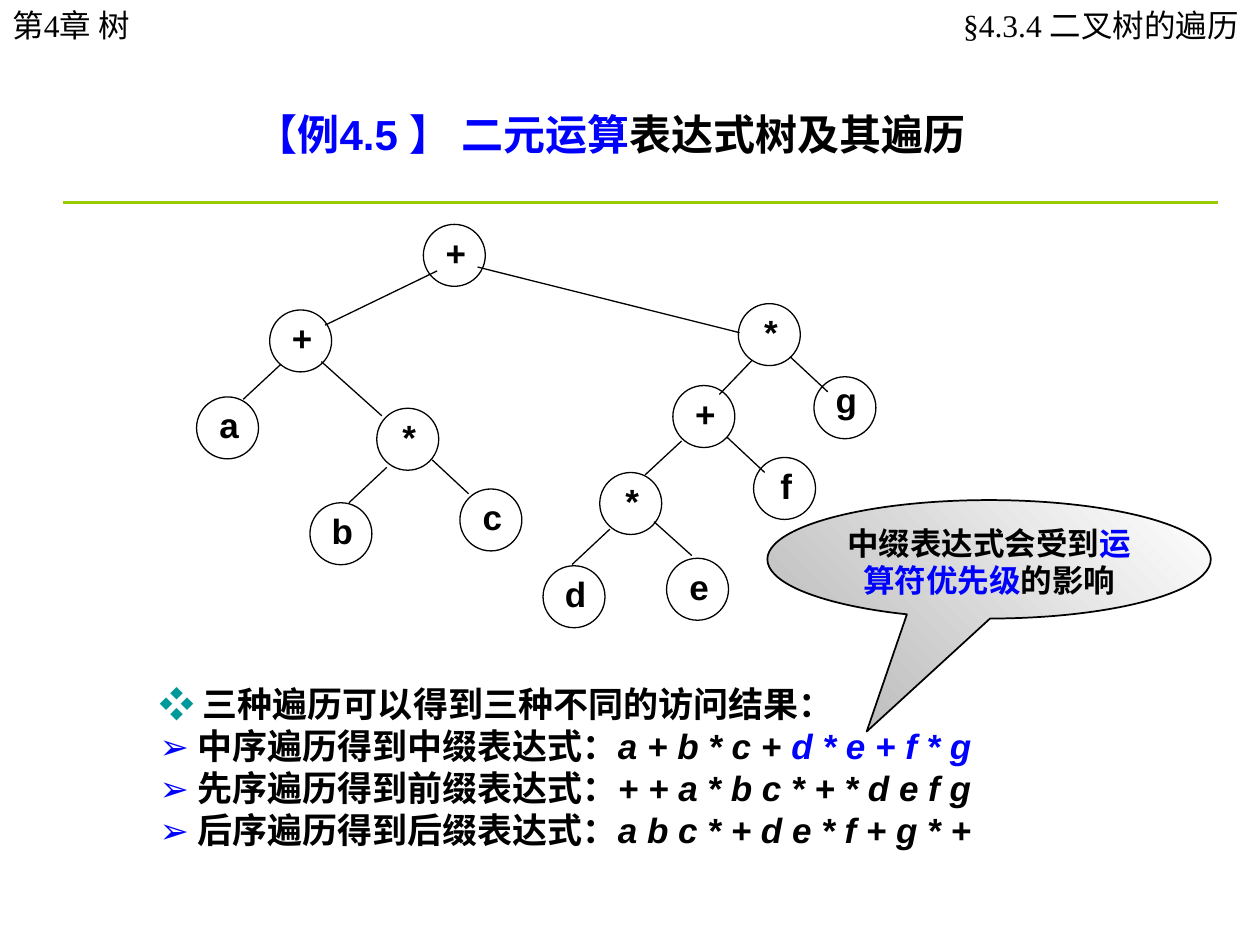
from pptx import Presentation, util as u
from pptx.dml import color as col
from pptx.enum import shapes as sh, text as tx
from pptx.oxml import ns, xmlchemy as xml

Pt = u.Pt
HUES = {
    "black": "000000", "white": "FFFFFF", "blue": "0000FF",
    "teal": "009999", "lime": "99CC00", "gray": "C0C0C0",
}
SIZE = 35.4

NODES = [
    ("+", 241.9, 128.2), ("+", 154.1, 177.1), ("a", 112.3, 226.8),
    ("*", 215.3, 233.3), ("b", 177.1, 287.3), ("c", 262.8, 279.4),
    ("*", 421.9, 173.5), ("+", 384.5, 220.3), ("*", 342.7, 270),
    ("e", 380.9, 319), ("f", 430.6, 261.4), ("d", 310.3, 323.3),
    ("g", 465.1, 215.3),
]
EDGES = [
    (249.8, 154.8, 185.8, 185.8), (183.6, 206.6, 218.2, 237.6),
    (272.9, 152.6, 422.6, 190.1), (429.8, 205.9, 411.1, 225.4),
    (389.5, 252, 368.6, 271.4), (221, 267.1, 199.4, 287.3),
    (247, 262.8, 267.8, 282.2), (348.5, 302.4, 326.9, 322.6),
    (373.7, 298.1, 395.3, 317.5), (415.4, 249.8, 437, 270),
    (451.4, 203.8, 473, 223.9), (160.6, 208.1, 139, 228.2),
]
ORDERS = [
    ("中序遍历得到中缀表达式：", "a + b * c + ", "d * e + f * g"),
    ("先序遍历得到前缀表达式：", "+ + a * b c * + * d e f g", ""),
    ("后序遍历得到后缀表达式：", "a b c * + d e * f + g * +", ""),
]


def hue(name):
    return col.RGBColor.from_string(HUES[name])


def write(para, runs, size, face="Arial", bold=True, align=None):
    para.font.size = Pt(size)
    para.font.name = face
    para.font.bold = bold
    para.alignment = align
    for words, tint, *slant in runs:
        run = para.add_run()
        run.text = words
        run.font.color.rgb = hue(tint)
        if slant:
            run.font.italic = True


def add_text(slide, box, lines, size, **style):
    frame = slide.shapes.add_textbox(*map(Pt, box)).text_frame
    frame.word_wrap = True
    frame.auto_size = tx.MSO_AUTO_SIZE.SHAPE_TO_FIT_TEXT
    for i, runs in enumerate(lines):
        para = frame.add_paragraph() if i else frame.paragraphs[0]
        write(para, runs, size, **style)
    return frame


def add_line(home, ends, tint="black", width=0.75):
    line = home.shapes.add_connector(sh.MSO_CONNECTOR.STRAIGHT, *map(Pt, ends))
    line.line.color.rgb = hue(tint)
    line.line.width = Pt(width)
    line._element.spPr.append(xml.OxmlElement("a:effectLst"))


def add_form(home, kind, box, edge=None):
    form = home.shapes.add_shape(kind, *map(Pt, box))
    form.shadow.inherit = False
    form.fill.solid()
    form.fill.fore_color.rgb = hue("white")
    if edge:
        form.line.color.rgb = hue("black")
        form.line.width = Pt(edge)
    else:
        form.line.fill.background()
    form.text_frame.vertical_anchor = tx.MSO_ANCHOR.TOP
    return form


def add_node(tree, name, left, top):
    add_form(tree, sh.MSO_SHAPE.OVAL, (left, top, SIZE, SIZE), 0.75)
    drop, pitch = (7, 0.72) if name == "g" else (5.5, 0.96)
    label = add_form(tree, sh.MSO_SHAPE.RECTANGLE, (left + 8.9, top + drop, 19.4, 20.9))
    frame = label.text_frame
    frame.margin_left = frame.margin_right = 0
    frame.margin_top = frame.margin_bottom = 0
    para = frame.paragraphs[0]
    para.line_spacing = pitch
    write(para, [(name, "black")], 20, align=tx.PP_ALIGN.CENTER)


def add_tree(slide):
    tree = slide.shapes.add_group_shape()
    for node in NODES:
        add_node(tree, *node)
    for edge in EDGES:
        add_line(tree, edge)


def add_note(slide):
    note = add_form(slide, sh.MSO_SHAPE.OVAL_CALLOUT, (438.5, 285.8, 253.4, 67.7), 1)
    note.adjustments[0] = -0.276
    note.adjustments[1] = 1.454
    note.fill.gradient()
    note.fill.gradient_angle = 45
    for stop, tint, spot in zip(note.fill.gradient_stops, ("gray", "white"), (0, 1)):
        stop.color.rgb = hue(tint)
        stop.position = spot
    note.text_frame.word_wrap = True
    runs = [("中缀表达式会受到", "black"), ("运算符优先级", "blue"), ("的影响", "black")]
    write(note.text_frame.paragraphs[0], runs, 18, align=tx.PP_ALIGN.CENTER)


def add_list(slide):
    lines = [[("❖ ", "teal"), ("三种遍历可以得到三种不同的访问结果：", "black")]]
    for lead, plain, marked in ORDERS:
        runs = [("➢ ", "blue"), (lead, "black"), (plain, "black", True)]
        if marked:
            runs.append((marked, "blue", True))
        lines.append(runs)
    add_text(slide, (84.2, 386.6, 517.7, 104.4), lines, 20)


def add_heads(slide):
    style = {"face": "Times New Roman", "bold": False}
    add_text(slide, (0, 0, 150.5, 28.8), [[("第4章 树", "black")]], 18, **style)
    right = add_text(slide, (445, 0, 274.3, 28.8), [[("§4.3.4 二叉树的遍历", "black")]],
                     18, align=tx.PP_ALIGN.RIGHT, **style)
    right.margin_left = Pt(8.6)
    right.margin_right = Pt(11.5)


def main():
    deck = Presentation()
    deck.slide_width = Pt(720)
    deck.slide_height = Pt(540)
    slide = deck.slides.add_slide(deck.slide_layouts[6])
    add_line(slide, (36, 115.9, 696.2, 115.9), "lime", 1.5)
    title = [("【例4.5 】 二元运算", "blue"), ("表达式树及其遍历", "black")]
    add_text(slide, (139, 58.3, 422.6, 36), [title], 24)
    add_heads(slide)
    add_list(slide)
    add_tree(slide)
    add_note(slide)
    deck.save("out.pptx")


if __name__ == "__main__":
    main()
